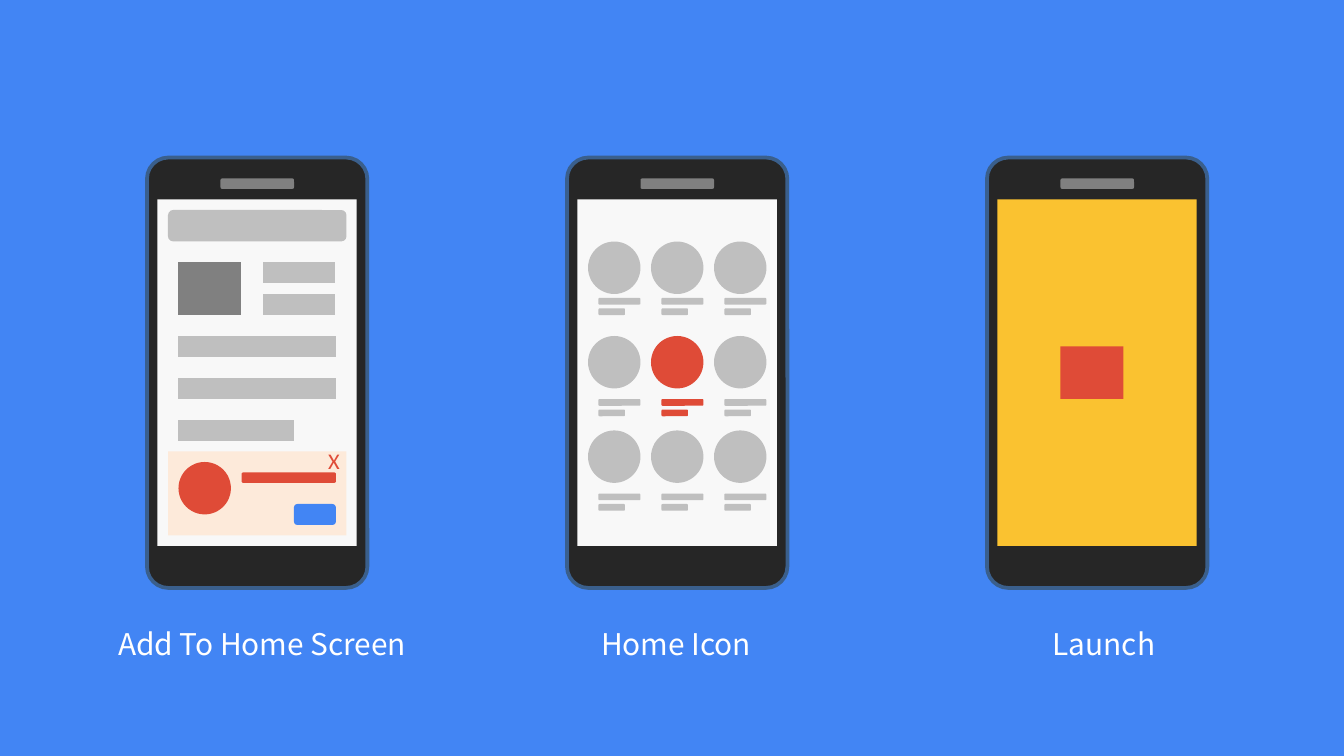
import pptx
import pptx.dml.color
import pptx.enum.shapes
import pptx.util

Pt = pptx.util.Pt
MSO = pptx.enum.shapes.MSO_SHAPE
RECT, ROUND, OVAL = MSO.RECTANGLE, MSO.ROUNDED_RECTANGLE, MSO.OVAL
PROCESS = MSO.FLOWCHART_PROCESS

BLUE, RED, YELLOW, PEACH = "4285F4", "DF4B37", "FAC230", "FDEADA"
DARK, MID, LIGHT, PAPER, WHITE = "262626", "808080", "BFBFBF", "F8F8F8", "FFFFFF"


def color(text):
    return pptx.dml.color.RGBColor.from_string(text)


def add_block(shapes, kind, x, y, w, h, fill):
    """Add a filled shape without outline or shadow; lengths in points."""
    sp = shapes.add_shape(kind, Pt(x), Pt(y), Pt(w), Pt(h))
    sp.shadow.inherit = False
    sp.fill.solid()
    sp.fill.fore_color.rgb = color(fill)
    sp.line.fill.background()
    return sp


prs = pptx.Presentation()
prs.slide_width, prs.slide_height = Pt(720), Pt(405)
s = prs.slides.add_slide(prs.slide_layouts[6])
s.background.fill.solid()
s.background.fill.fore_color.rgb = color(BLUE)

# Three phones
for i, screen in enumerate([PAPER, PAPER, YELLOW]):
    x = 78.75 + 225 * i
    phone = s.shapes.add_group_shape().shapes
    body = add_block(phone, ROUND, x, 84.4, 118.1, 230.6, DARK)
    body.adjustments[0] = 0.097
    body.line.color.rgb = color("3A5F8C")
    body.line.width = Pt(2)
    add_block(phone, RECT, x + 5.5, 106.8, 106.9, 185.7, screen)
    add_block(phone, ROUND, x + 39.4, 95.6, 39.4, 5.6, MID)

# First phone: web page with install banner
for kind, x, y, w, h, fill in [
    (ROUND, 90, 112.5, 95.6, 16.8, LIGHT),
    (PROCESS, 95.4, 140.4, 33.75, 28.3, MID),
    (PROCESS, 140.8, 140.4, 38.7, 11.25, LIGHT),
    (PROCESS, 140.8, 157.5, 38.7, 11.25, LIGHT),
    (PROCESS, 95.4, 180, 84.5, 11.25, LIGHT),
    (PROCESS, 95.4, 202.5, 84.5, 11.25, LIGHT),
    (PROCESS, 95.4, 225, 62.1, 11.25, LIGHT),
    (RECT, 90, 241.9, 95.6, 45, PEACH),
    (OVAL, 95.6, 247.5, 28.1, 28.1, RED),
    (ROUND, 129.4, 253.1, 50.6, 5.6, RED),
    (ROUND, 157.5, 270, 22.5, 11.25, BLUE),
]:
    add_block(s.shapes, kind, x, y, w, h, fill)

# Second phone: grid of home icons, each with a two-line label
for row, label_y in enumerate([159.6, 213.8, 264.4]):
    for col in range(3):
        x = 315 + 33.75 * col
        fill = RED if (row, col) == (1, 1) else LIGHT
        add_block(s.shapes, OVAL, x, 129.4 + 50.6 * row, 28.1, 28.1, fill)
        add_block(s.shapes, ROUND, x + 5.6, label_y, 22.5, 3.6, fill)
        add_block(s.shapes, ROUND, x + 5.6, label_y + 5.6, 14.2, 3.6, fill)

# Third phone: launch mark
add_block(s.shapes, RECT, 568.1, 185.6, 33.75, 28.1, RED)

# Banner close mark and captions
CAPTION = "Noto Sans CJK SC"
for text, x, y, w, h, size, font, fill in [
    ("X", 168.75, 236.25, 16.9, 21.8, 12, "Calibri", RED),
    ("Add To Home Screen", 56.25, 331.9, 185.6, 26.6, 16, CAPTION, WHITE),
    ("Home Icon", 315, 331.9, 101.25, 26.6, 16, CAPTION, WHITE),
    ("Launch", 556.9, 331.9, 73.1, 26.6, 16, CAPTION, WHITE),
]:
    tf = s.shapes.add_textbox(Pt(x), Pt(y), Pt(w), Pt(h)).text_frame
    tf.word_wrap = True
    r = tf.paragraphs[0].add_run()
    r.text = text
    r.font.size = Pt(size)
    r.font.name = font
    r.font.color.rgb = color(fill)

prs.save("out.pptx")
